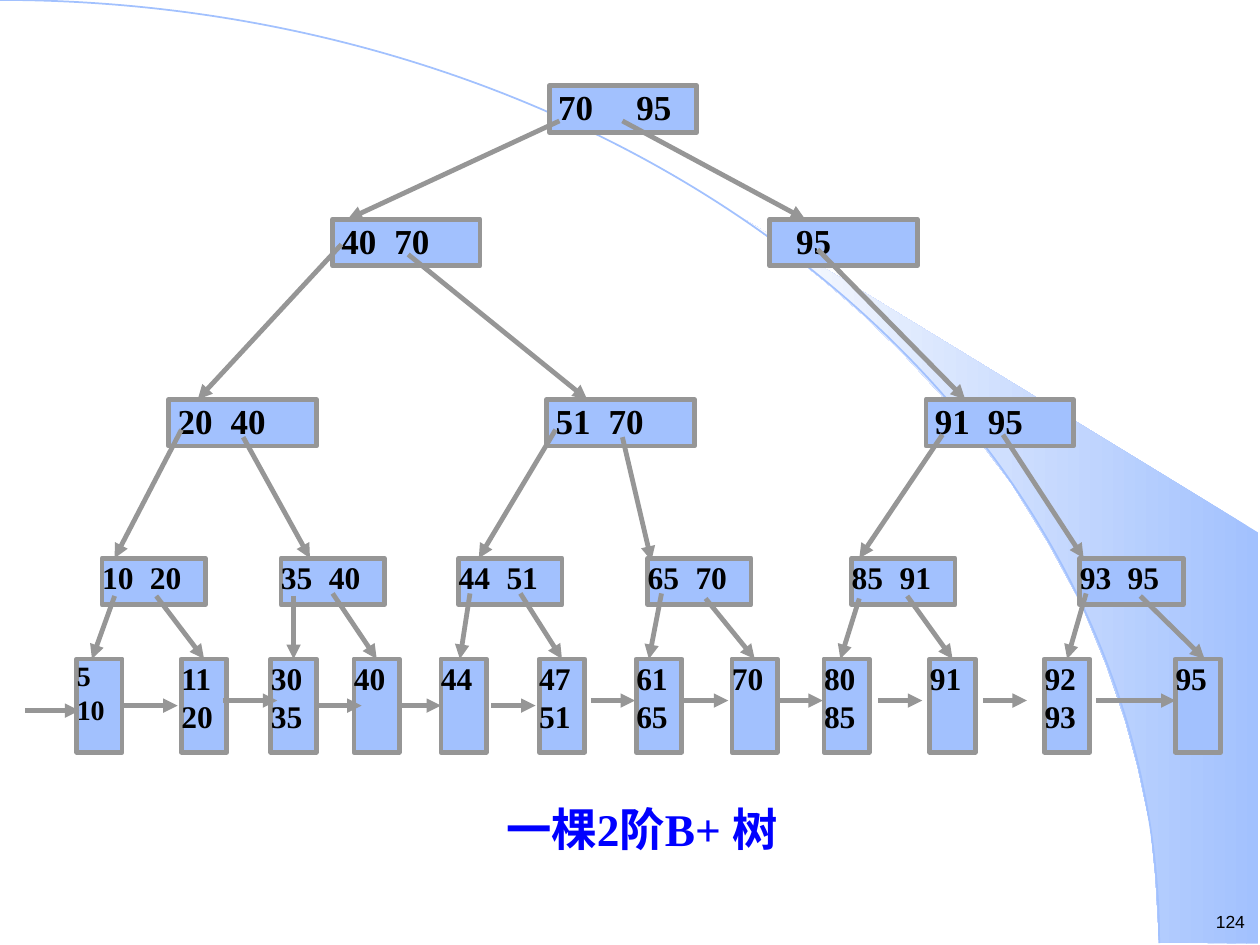
from dataclasses import dataclass

from lxml import etree
from pptx import Presentation
from pptx.dml.color import RGBColor
from pptx.enum.shapes import MSO_CONNECTOR, MSO_SHAPE
from pptx.enum.text import MSO_ANCHOR, PP_ALIGN
from pptx.oxml.ns import qn
from pptx.util import Pt

PX = 9144
RECT, ARC = MSO_SHAPE.RECTANGLE, MSO_SHAPE.ARC
STRAIGHT = MSO_CONNECTOR.STRAIGHT
CENTER, RIGHT, JUSTIFY = PP_ALIGN.CENTER, PP_ALIGN.RIGHT, PP_ALIGN.JUSTIFY
TOP = MSO_ANCHOR.TOP
SERIF = "Times New Roman"
BLUE, GREY, BLACK, WHITE = "A2C1FE", "969696", "000000", "FEFEFE"
TITLE_BLUE = "0000FF"
LINE_WIDTH = 2.75
SNAP = 2


@dataclass
class Level:
    y: int
    w: int
    h: int
    size: int


@dataclass
class Node:
    level: Level
    x: int
    lines: list[str]
    inset: int = 0
    tab: int = 0
    size: int = 0

    def sides(self) -> list[tuple[float, float]]:
        x, y, w, h = self.x, self.level.y, self.level.w, self.level.h
        return [(x + w / 2, y), (x, y + h / 2), (x + w / 2, y + h), (x + w, y + h / 2)]


@dataclass
class Arrow:
    x1: int
    y1: int
    x2: int
    y2: int


ROOT = Level(68, 117, 37, 20)
SECOND = Level(174, 117, 37, 20)
THIRD = Level(317, 117, 37, 20)
FOURTH = Level(443, 82, 37, 18)
LEAF = Level(523, 36, 74, 18)

NODES = [
    Node(ROOT, 436, ["70\t95"], 7, 62),
    Node(SECOND, 264, ["40\t70"], 7, 42),
    Node(SECOND, 611, ["95"], 21),
    *[Node(THIRD, x, [keys], 7, 42)
      for x, keys in [(134, "20\t40"), (434, "51\t70"), (735, "91\t95")]],
    *[Node(FOURTH, x, [keys], 0, 38)
      for x, keys in [(81, "10\t20"), (223, "35\t40"), (364, "44\t51"),
                      (514, "65\t70"), (676, "85\t91"), (857, "93\t95")]],
    Node(LEAF, 61, ["5", "10"], size=16),
    *[Node(LEAF, x, keys.split())
      for x, keys in [(144, "11 20"), (215, "30 35"), (281, "40"), (350, "44"),
                      (428, "47 51"), (505, "61 65"), (581, "70"), (654, "80 85"),
                      (738, "91"), (829, "92 93"), (933, "95")]],
]

BRANCHES = [Arrow(*ends) for ends in [
    (444, 96, 276, 174), (494, 96, 639, 174),
    (271, 194, 157, 317), (324, 202, 466, 317), (649, 198, 766, 317),
    (144, 341, 91, 443), (193, 347, 246, 443), (441, 341, 380, 443),
    (494, 347, 517, 445), (748, 345, 682, 443), (796, 345, 860, 443),
    (91, 473, 73, 523), (124, 473, 162, 523), (233, 473, 233, 523),
    (264, 471, 297, 523), (373, 471, 365, 523), (413, 471, 446, 523),
    (525, 471, 515, 523), (560, 475, 601, 523), (682, 475, 667, 523),
    (720, 473, 758, 523), (862, 471, 847, 523), (905, 473, 956, 523),
]]
LEAF_LINKS = [Arrow(x, y, x + length, y) for x, y, length in [
    (20, 564, 43), (98, 560, 43), (177, 556, 43), (252, 560, 35),
    (315, 560, 35), (390, 560, 35), (469, 556, 35), (543, 556, 35),
    (618, 556, 35), (697, 556, 35), (780, 556, 35), (870, 556, 63),
]]

WEDGE = [
    (920, 748), (999, 749), (999, 423), (589, 173), (624, 199), (653, 222),
    (685, 250), (716, 280), (762, 330), (803, 384), (832, 431), (858, 479),
    (878, 528), (893, 572), (903, 609), (913, 656), (917, 696),
]


def rgb(color: str) -> RGBColor:
    return RGBColor.from_string(color)


def box(*lengths: int) -> list[int]:
    return [length * PX for length in lengths]


def set_line(s, color: str, width: float) -> None:
    s.line.color.rgb = rgb(color)
    s.line.width = Pt(width)


def set_text(s, lines: list[str], align, insets: tuple[int, int, int, int],
             font: dict, color: str, tab: int = 0, spacing: float = 1.0) -> None:
    tf = s.text_frame
    tf.word_wrap = True
    tf.vertical_anchor = TOP
    for side, inset in zip(("left", "top", "right", "bottom"), insets):
        setattr(tf, f"margin_{side}", inset * PX)
    for i, text in enumerate(lines):
        p = tf.paragraphs[0] if i == 0 else tf.add_paragraph()
        p.alignment = align
        p.line_spacing = spacing
        if tab:
            tabs = etree.SubElement(p._p.get_or_add_pPr(), qn("a:tabLst"))
            etree.SubElement(tabs, qn("a:tab"), pos=str(tab * PX), algn="l")
        r = p.add_run()
        r.text = text
        r.font.color.rgb = rgb(color)
        for name, value in font.items():
            setattr(r.font, name, value)


def add_background(shapes) -> None:
    builder = shapes.build_freeform(*WEDGE[0], scale=PX)
    builder.add_line_segments(WEDGE[1:], close=True)
    wedge = builder.convert_to_shape()
    wedge.shadow.inherit = False
    wedge.line.fill.background()
    wedge.fill.gradient()
    wedge.fill.gradient_angle = 180
    for stop, color in zip(wedge.fill.gradient_stops, (BLUE, WHITE)):
        stop.color.rgb = rgb(color)
    curve = shapes.add_shape(ARC, *box(-920, 0, 1840, 1497))
    curve.shadow.inherit = False
    curve.fill.background()
    set_line(curve, BLUE, 1)


def add_node(shapes, node: Node):
    level = node.level
    s = shapes.add_shape(RECT, *box(node.x, level.y, level.w, level.h))
    s.shadow.inherit = False
    s.fill.solid()
    s.fill.fore_color.rgb = rgb(BLUE)
    set_line(s, GREY, LINE_WIDTH)
    font = {"name": SERIF, "size": Pt(node.size or level.size), "bold": True}
    set_text(s, node.lines, JUSTIFY, (node.inset, 0, 0, 0), font, BLACK, node.tab)
    return s


def join(connect, x: int, y: int, placed: list) -> None:
    for node, s in placed:
        for site, (sx, sy) in enumerate(node.sides()):
            if abs(sx - x) <= SNAP and abs(sy - y) <= SNAP:
                connect(s, site)
                return


def add_arrow(shapes, arrow: Arrow, placed: list) -> None:
    s = shapes.add_connector(STRAIGHT, *box(arrow.x1, arrow.y1, arrow.x2, arrow.y2))
    join(s.begin_connect, arrow.x1, arrow.y1, placed)
    join(s.end_connect, arrow.x2, arrow.y2, placed)
    set_line(s, GREY, LINE_WIDTH)
    etree.SubElement(s.line._get_or_add_ln(), qn("a:tailEnd"), type="triangle")
    etree.SubElement(s._element.spPr, qn("a:effectLst"))


def main() -> None:
    """Build the B+ tree slide and save it."""
    prs = Presentation()
    prs.slide_width, prs.slide_height = box(1000, 750)
    shapes = prs.slides.add_slide(prs.slide_layouts[6]).shapes
    add_background(shapes)
    number = shapes.add_textbox(*box(941, 718, 49, 27))
    set_text(number, ["124"], RIGHT, (2, 5, 2, 5), {"name": "Arial", "size": Pt(10)}, BLACK)
    title = shapes.add_textbox(*box(47, 643, 925, 43))
    set_text(title, ["一棵2阶B+ 树"], CENTER, (10, 5, 10, 5),
             {"name": SERIF, "size": Pt(25.9), "bold": True}, TITLE_BLUE, spacing=0.7)
    placed = [(node, add_node(shapes, node)) for node in NODES]
    for arrow in BRANCHES + LEAF_LINKS:
        add_arrow(shapes, arrow, placed)
    prs.save("out.pptx")


if __name__ == "__main__":
    main()
